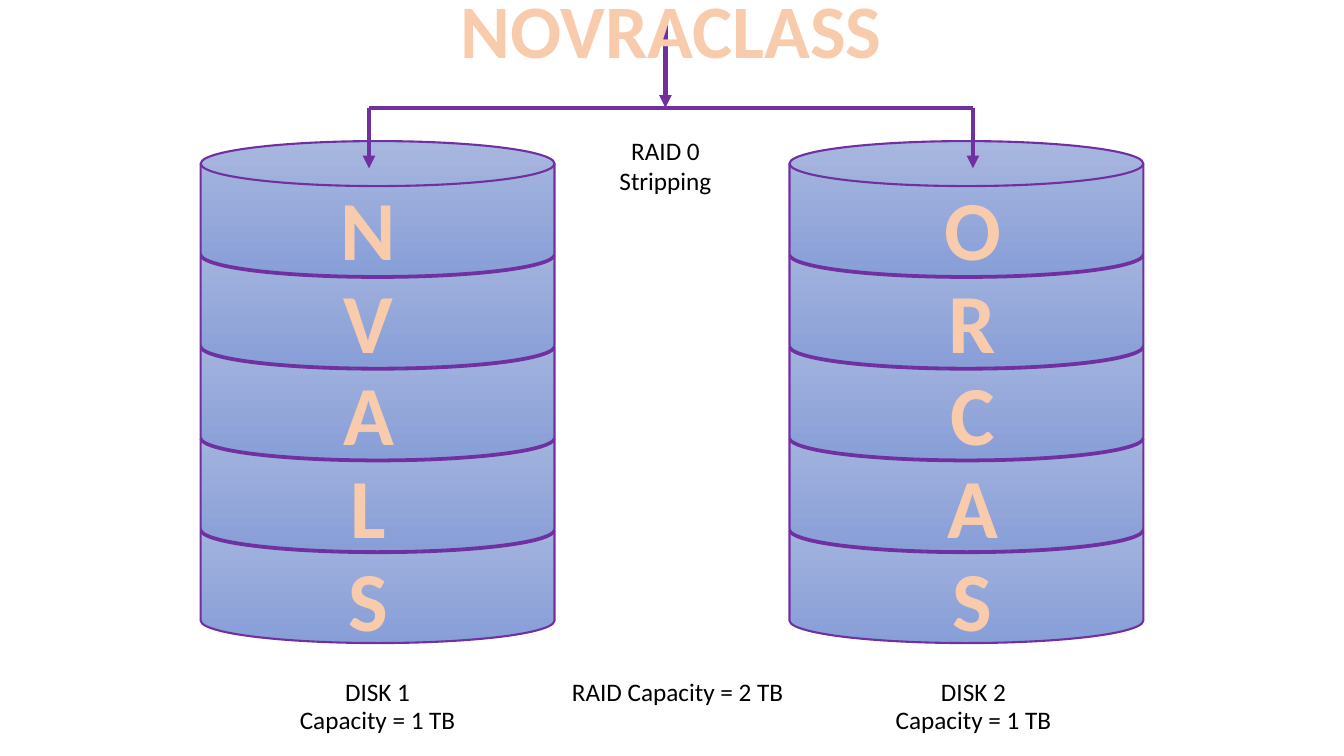
from dataclasses import dataclass
from lxml import etree
from pptx import Presentation
from pptx.dml.color import RGBColor
from pptx.enum.shapes import MSO_CONNECTOR as Connector, MSO_SHAPE as Shape
from pptx.enum.text import MSO_ANCHOR as Anchor, MSO_AUTO_SIZE as AutoSize, PP_ALIGN as Align
from pptx.oxml.ns import qn
from pptx.util import Inches, Pt

# Content: the word is striped letter by letter over the disks
WORD = "NOVRACLASS"
DISKS = [
    {"name": "DISK 1", "capacity": "Capacity = 1 TB"},
    {"name": "DISK 2", "capacity": "Capacity = 1 TB"},
]
MODE = ["RAID 0", "Stripping"]
TOTAL = "RAID Capacity = 2 TB"


@dataclass(frozen=True)
class Theme:
    font: str = "Calibri"
    line: str = "7030A0"
    disk_top: str = "A8B7DF"
    disk_bottom: str = "889ED7"
    letter: str = "F8CBAD"
    letter_edge: str = "ED7D31"
    text: str = "000000"
    label_size: float = 18
    title_size: float = 54
    letter_size: float = 60
    edge_width: float = 1.75
    disk_line: float = 1.5
    arrow_line: float = 3


THEME = Theme()

# Grid, in inches: one column per disk, one row per stripe
DISK_LEFT, DISK_PITCH, DISK_WIDTH = 1.99, 5.84, 3.51
STRIPE_TOP, STRIPE_PITCH, STRIPE_HEIGHT = 1.4, 0.91, 1.34
LETTER_TOP, LETTER_PITCH = 1.7, 0.92
ARROW_LEFT, ARROW_PITCH = 3.66, 5.99
LABEL_LEFT, LABEL_PITCH, LABEL_WIDTH = 2.85, 5.91, 1.79
LABEL_TOP, CAPACITY_TOP, LABEL_HEIGHT = 6.66, 6.94, 0.4
BUS_TOP, CENTER = 1.07, 6.6

presentation = Presentation()
presentation.slide_width, presentation.slide_height = Inches(13.33), Inches(7.5)
slide = presentation.slides.add_slide(presentation.slide_layouts[5])
shapes = slide.shapes


def color(value):
    return RGBColor.from_string(value)


def write(shape, lines, size, outlined=False):
    frame = shape.text_frame
    frame.word_wrap = True
    frame.auto_size = AutoSize.NONE
    frame.vertical_anchor = Anchor.TOP
    frame.text = "\n".join(lines)
    for paragraph in frame.paragraphs:
        paragraph.alignment = Align.CENTER
        font = paragraph.font
        font.name, font.size, font.bold = THEME.font, Pt(size), outlined
        font.color.rgb = color(THEME.letter if outlined else THEME.text)
        if outlined:
            properties = paragraph.runs[0].font._element
            edge = etree.Element(qn("a:ln"), w=str(Pt(THEME.edge_width)))
            fill = etree.SubElement(edge, qn("a:solidFill"))
            etree.SubElement(fill, qn("a:srgbClr"), val=THEME.letter_edge)
            properties.insert(0, edge)


def add_text(lines, left, top, width, height, size=THEME.label_size, outlined=False):
    box = shapes.add_textbox(*map(Inches, (left, top, width, height)))
    write(box, lines, size, outlined)


def add_stripe(left, top):
    stripe = shapes.add_shape(Shape.FLOWCHART_MAGNETIC_DISK,
                              *map(Inches, (left, top, DISK_WIDTH, STRIPE_HEIGHT)))
    stripe.shadow.inherit = False
    stripe.fill.gradient()
    stripe.fill.gradient_angle = 270
    for stop, value in zip(stripe.fill.gradient_stops, (THEME.disk_top, THEME.disk_bottom)):
        stop.color.rgb = color(value)
    stripe.line.color.rgb = color(THEME.line)
    stripe.line.width = Pt(THEME.disk_line)


def add_line(start, end, arrow=True):
    connector = shapes.add_connector(Connector.STRAIGHT, *map(Inches, start + end))
    connector.line.color.rgb = color(THEME.line)
    connector.line.width = Pt(THEME.arrow_line)
    if arrow:
        etree.SubElement(connector.line._get_or_add_ln(), qn("a:tailEnd"), type="triangle")
    etree.SubElement(connector._element.spPr, qn("a:effectLst"))


# Disks: stripes stacked from the bottom up, letters on top
for column, disk in enumerate(DISKS):
    letters = WORD[column::len(DISKS)]
    for row in reversed(range(len(letters))):
        add_stripe(DISK_LEFT + column * DISK_PITCH, STRIPE_TOP + row * STRIPE_PITCH)
    arrow_left = ARROW_LEFT + column * ARROW_PITCH
    for row, letter in enumerate(letters):
        add_text([letter], arrow_left - 0.48, LETTER_TOP + row * LETTER_PITCH,
                 0.95, 1.11, THEME.letter_size, outlined=True)
    add_line((arrow_left, BUS_TOP), (arrow_left, 1.67))

    label_left = LABEL_LEFT + column * LABEL_PITCH
    for text, top in ((disk["name"], LABEL_TOP), (disk["capacity"], CAPACITY_TOP)):
        add_text([text], label_left, top, LABEL_WIDTH, LABEL_HEIGHT)

# Bus that feeds both disks
add_line((ARROW_LEFT, BUS_TOP), (ARROW_LEFT + ARROW_PITCH, BUS_TOP), arrow=False)
add_line((CENTER, 0.25), (CENTER, BUS_TOP))

# Captions between the disks
add_text(MODE, CENTER - LABEL_WIDTH / 2, 1.29, LABEL_WIDTH, 0.71)
add_text([TOTAL], 5.51, LABEL_TOP, 2.42, LABEL_HEIGHT)

# Title, in front of the arrow
title = shapes.title
title.left, title.top, title.width, title.height = map(Inches, (4.26, -0.22, 4.8, 1.01))
write(title, [WORD], THEME.title_size, outlined=True)
shapes._spTree.append(title._element)

presentation.save("out.pptx")
